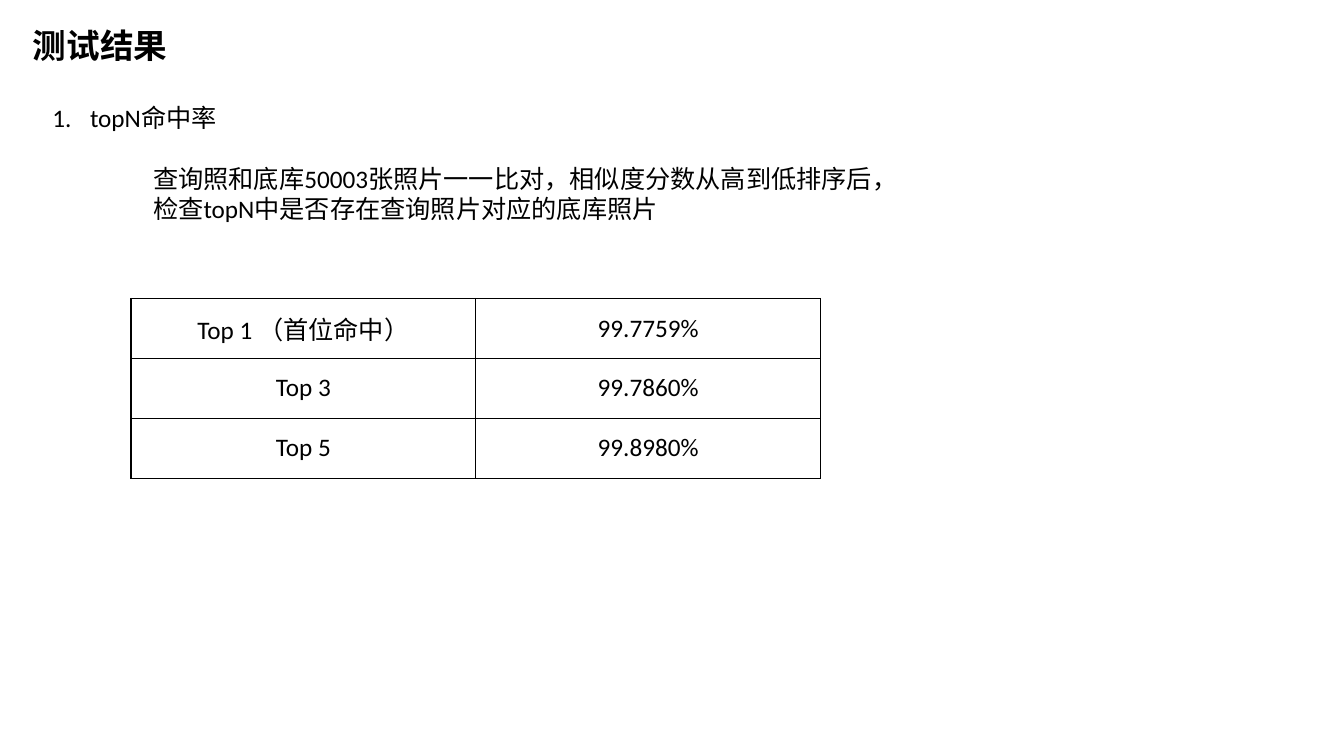
from lxml import etree
from pptx import Presentation
from pptx import util as u
from pptx.dml.color import RGBColor
from pptx.enum import text
from pptx.oxml.ns import qn

COLORS = {"ink": "000000", "paper": "FFFFFF"}
FONT = "Calibri"


def add_run(paragraph, content, size=18, bold=False):
    run = paragraph.add_run()
    run.text = content
    run.font.name = FONT
    run.font.size = u.Pt(size)
    run.font.bold = bold
    run.font.color.rgb = RGBColor.from_string(COLORS["ink"])


def add_text_box(left, top, width, height):
    frame = slide.shapes.add_textbox(
        u.Cm(left), u.Cm(top), u.Cm(width), u.Cm(height)).text_frame
    frame.word_wrap = True
    return frame


presentation = Presentation()
presentation.slide_width = u.Cm(33.87)
presentation.slide_height = u.Cm(19.05)
slide = presentation.slides.add_slide(presentation.slide_layouts[6])

# Title
title = add_text_box(0.58, 0.5, 10.95, 1.28)
add_run(title.paragraphs[0], "测试结果", size=24, bold=True)

# Numbered heading with its explanation
body = add_text_box(1.07, 2.46, 23.67, 3.33)
heading = body.paragraphs[0]
properties = heading._p.get_or_add_pPr()
properties.set("marL", str(u.Cm(0.95)))
properties.set("indent", str(-u.Cm(0.95)))
etree.SubElement(properties, qn("a:buFont"), typeface="+mj-lt")
etree.SubElement(properties, qn("a:buAutoNum"), type="arabicPeriod")
add_run(heading, "topN命中率")

explanation = [
    "查询照和底库50003张照片一一比对，相似度分数从高到低排序后，",
    "检查topN中是否存在查询照片对应的底库照片",
]
for index, line in enumerate(explanation):
    paragraph = body.add_paragraph()
    paragraph._p.get_or_add_pPr().set("marL", str(u.Cm(2.54)))
    if index == 0:
        paragraph.space_before = u.Pt(21.6)
    add_run(paragraph, line)

# Hit rate table
hit_rates = [
    ("Top 1 （首位命中）", "99.7759%"),
    ("Top 3", "99.7860%"),
    ("Top 5", "99.8980%"),
]
table = slide.shapes.add_table(
    len(hit_rates), 2, u.Cm(3.3), u.Cm(7.52), u.Cm(17.38), u.Cm(4.53)).table
table.first_row = False
table.horz_banding = False
for row, values in enumerate(hit_rates):
    for column, value in enumerate(values):
        cell = table.cell(row, column)
        cell.vertical_anchor = text.MSO_ANCHOR.MIDDLE
        paragraph = cell.text_frame.paragraphs[0]
        paragraph.alignment = text.PP_ALIGN.CENTER
        add_run(paragraph, value)
        cell_properties = cell._tc.get_or_add_tcPr()
        for side in ("lnL", "lnR", "lnT", "lnB"):
            border = etree.SubElement(
                cell_properties, qn(f"a:{side}"), w=str(u.Pt(1)))
            fill = etree.SubElement(border, qn("a:solidFill"))
            etree.SubElement(fill, qn("a:srgbClr"), val=COLORS["ink"])
        cell.fill.solid()
        cell.fill.fore_color.rgb = RGBColor.from_string(COLORS["paper"])

presentation.save("out.pptx")
